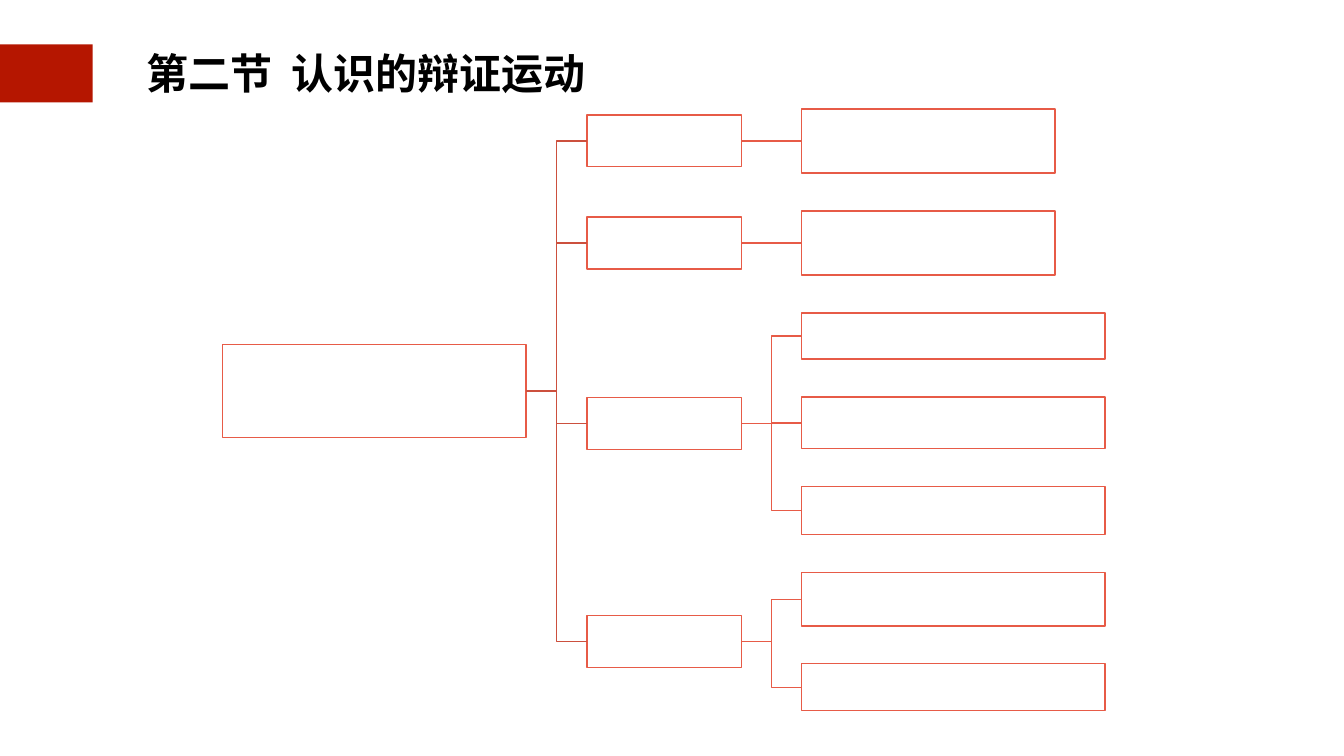
"""Build the section slide with a bracketed tree of empty boxes."""
from pptx import Presentation
from pptx.dml.color import RGBColor
from pptx.enum.shapes import MSO_CONNECTOR, MSO_SHAPE
from pptx.enum.text import MSO_ANCHOR, PP_ALIGN
from pptx.oxml.ns import qn
from pptx.util import Inches, Pt
from lxml import etree

RECTANGLE = MSO_SHAPE.RECTANGLE
ELBOW, STRAIGHT = MSO_CONNECTOR.ELBOW, MSO_CONNECTOR.STRAIGHT
MIDDLE, CENTER = MSO_ANCHOR.MIDDLE, PP_ALIGN.CENTER
RIGHT_SIDE, LEFT_SIDE = 3, 1

COLORS = {"background": "FFFFFF", "banner": "B51600", "title": "000000",
          "box": "FFFFFF", "outline": "E75B47", "trunk": "CC503E"}
TITLE = "第二节  认识的辩证运动"
FONT = "Roboto"
LINE_WIDTH = 2

ROOT = (4.42, 6.84, 6.02, 1.84)
BRANCH_LEFT, BRANCH_WIDTH, BRANCH_HEIGHT = 11.65, 3.06, 1.03
LEAF_LEFT = 15.91
BRANCHES = [
    {"top": 2.28, "leaf_width": 5.03, "leaves": [(2.16, 1.27)]},
    {"top": 4.31, "leaf_width": 5.03, "leaves": [(4.19, 1.27)]},
    {"top": 7.89, "leaf_width": 6.02,
     "leaves": [(6.21, 0.91), (7.88, 1.02), (9.65, 0.95)]},
    {"top": 12.21, "leaf_width": 6.02,
     "leaves": [(11.36, 1.06), (13.17, 0.93)]},
]


def color(name):
    return RGBColor.from_string(COLORS[name])


def add_box(slide, bounds, fill, outline=None):
    shape = slide.shapes.add_shape(RECTANGLE, *map(Inches, bounds))
    shape.shadow.inherit = False
    shape.fill.solid()
    shape.fill.fore_color.rgb = color(fill)
    if outline:
        shape.line.color.rgb = color(outline)
        shape.line.width = Pt(LINE_WIDTH)
    else:
        shape.line.fill.background()
    return shape


def join(slide, parent, child, kind, line_color):
    connector = slide.shapes.add_connector(kind, 0, 0, 0, 0)
    connector.begin_connect(parent, RIGHT_SIDE)
    connector.end_connect(child, LEFT_SIDE)
    connector.line.color.rgb = color(line_color)
    connector.line.width = Pt(LINE_WIDTH)
    etree.SubElement(connector._element.spPr, qn("a:effectLst"))


def add_title(slide):
    title = slide.shapes.add_textbox(*map(Inches, (2.83, 0.9, 8.86, 1.1)))
    frame = title.text_frame
    frame.word_wrap = False
    frame.vertical_anchor = MIDDLE
    frame.margin_left = frame.margin_right = Inches(0.06)
    frame.margin_top = frame.margin_bottom = Inches(0.06)
    paragraph = frame.paragraphs[0]
    paragraph.text = TITLE
    paragraph.alignment = CENTER
    paragraph.font.name = FONT
    paragraph.font.size = Pt(60)
    paragraph.font.bold = True
    paragraph.font.color.rgb = color("title")


def add_tree(slide):
    root = add_box(slide, ROOT, "box", "outline")
    for branch in BRANCHES:
        bounds = (BRANCH_LEFT, branch["top"], BRANCH_WIDTH, BRANCH_HEIGHT)
        topic = add_box(slide, bounds, "box", "outline")
        join(slide, root, topic, ELBOW, "trunk")
        kind = STRAIGHT if len(branch["leaves"]) == 1 else ELBOW
        for top, height in branch["leaves"]:
            bounds = (LEAF_LEFT, top, branch["leaf_width"], height)
            leaf = add_box(slide, bounds, "box", "outline")
            join(slide, topic, leaf, kind, "outline")


def main():
    presentation = Presentation()
    presentation.slide_width = Inches(26.67)
    presentation.slide_height = Inches(15)
    slide = presentation.slides.add_slide(presentation.slide_layouts[6])
    slide.background.fill.solid()
    slide.background.fill.fore_color.rgb = color("background")
    add_box(slide, (-0.03, 0.88, 1.87, 1.15), "banner")
    add_title(slide)
    add_tree(slide)
    presentation.save("out.pptx")


if __name__ == "__main__":
    main()
